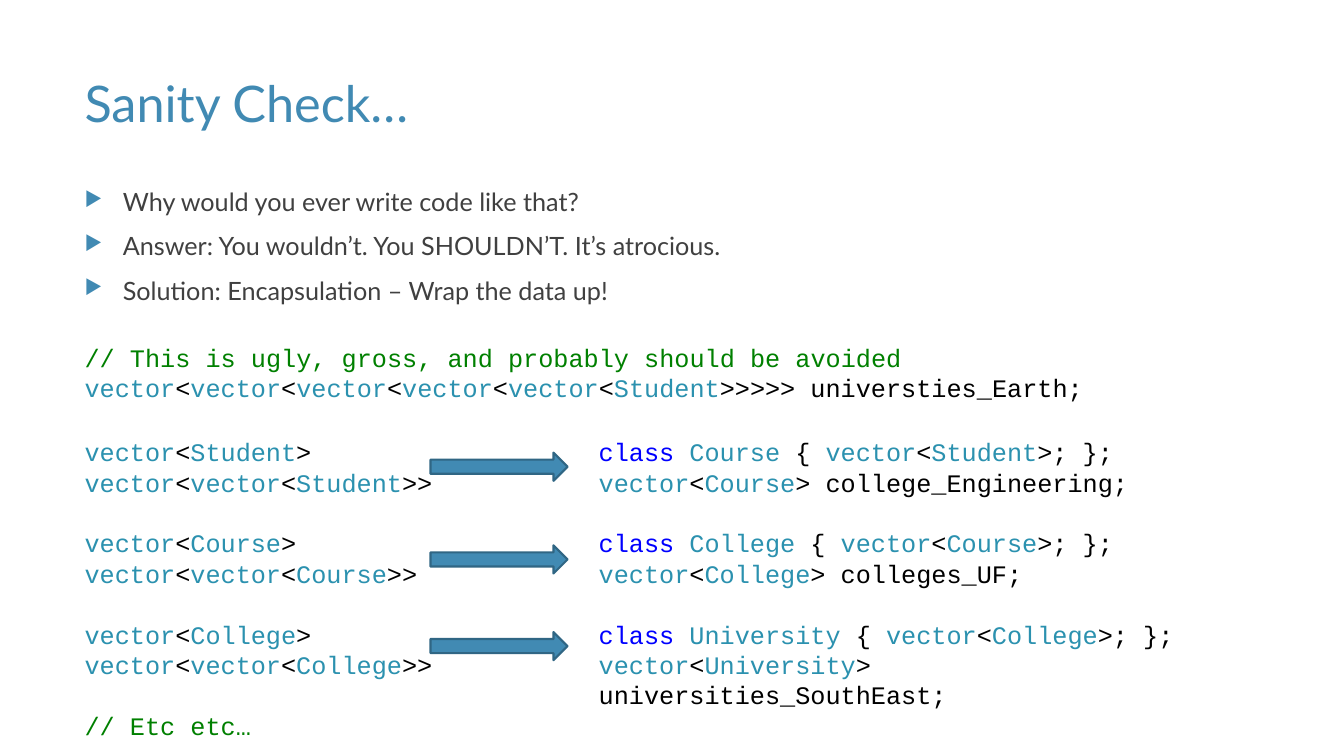
from itertools import groupby

from lxml import etree
from pptx import Presentation
from pptx.dml.color import RGBColor
from pptx.enum.shapes import MSO_SHAPE as Shape
from pptx.oxml.ns import qn
from pptx.util import Inches, Pt

ACCENT, ACCENT_DARK, BODY = "418AB3", "306684", "404040"
KEYWORD, TYPE, COMMENT, PLAIN = "0000FF", "2B91AF", "008000", "000000"
TYPES = {"vector", "Student", "Course", "College", "University"}
CODE_LINE = 21.7

BULLETS = [
    "Why would you ever write code like that?",
    "Answer: You wouldn’t. You SHOULDN’T. It’s atrocious.",
    "Solution: Encapsulation – Wrap the data up!",
]
UGLY_CODE = [[
    "// This is ugly, gross, and probably should be avoided",
    "vector<vector<vector<vector<vector<Student>>>>> universties_Earth;",
]]
WRAPPERS = [
    ("Student", "Course", "college_Engineering"),
    ("Course", "College", "colleges_UF"),
    ("College", "University", "universities_SouthEast"),
]
ARROW_TOPS = (4.49, 5.41, 6.27)


def color(value):
    return RGBColor.from_string(value)


def add_text_frame(slide, left, top, width, height):
    box = slide.shapes.add_textbox(
        Inches(left), Inches(top), Inches(width), Inches(height))
    box.text_frame.word_wrap = True
    return box.text_frame


def next_paragraph(frame, space_before=0):
    """Return the unused first paragraph, or a new one with space above it."""
    first = frame.paragraphs[0]
    if not first.runs:
        return first
    paragraph = frame.add_paragraph()
    paragraph.space_before = Pt(space_before)
    return paragraph


def add_run(paragraph, text, size=18, font="Lato", fill=BODY):
    run = paragraph.add_run()
    run.text = text
    run.font.size = Pt(size)
    run.font.name = font
    run.font.color.rgb = color(fill)


def add_bullet(paragraph):
    properties = paragraph._p.get_or_add_pPr()
    properties.set("marL", str(Inches(0.38)))
    properties.set("indent", str(Inches(-0.38)))
    bullet_color = etree.SubElement(properties, qn("a:buClr"))
    etree.SubElement(bullet_color, qn("a:srgbClr"), val=ACCENT)
    etree.SubElement(properties, qn("a:buSzPct"), val="80000")
    etree.SubElement(properties, qn("a:buChar"), char="▶")


def add_title(slide, left, top, width, height):
    frame = add_text_frame(slide, left, top, width, height)
    add_run(next_paragraph(frame), "Sanity Check…", size=36, fill=ACCENT)


def add_bullet_list(slide, left, top, width, height):
    frame = add_text_frame(slide, left, top, width, height)
    for text in BULLETS:
        paragraph = next_paragraph(frame, space_before=10)
        add_bullet(paragraph)
        add_run(paragraph, text)


def color_tokens(line):
    """Split a code line into words and symbols with their syntax colours."""
    if line.startswith("//"):
        return [(line, COMMENT)]
    tokens = []
    for _, letters in groupby(line, lambda letter: letter.isalnum() or letter == "_"):
        token = "".join(letters)
        fill = KEYWORD if token == "class" else TYPE if token in TYPES else PLAIN
        tokens.append((token, fill))
    return tokens


def add_code(slide, blocks, left, top, width, height):
    """Place blocks of code lines, one line height apart."""
    frame = add_text_frame(slide, left, top, width, height)
    for block in blocks:
        for index, line in enumerate(block):
            paragraph = next_paragraph(frame, 0 if index else CODE_LINE)
            paragraph.line_spacing = Pt(CODE_LINE)
            for token, fill in color_tokens(line):
                add_run(paragraph, token, font="Courier New", fill=fill)


def add_arrow(slide, left, top, width, height):
    arrow = slide.shapes.add_shape(
        Shape.RIGHT_ARROW, Inches(left), Inches(top), Inches(width), Inches(height))
    arrow.shadow.inherit = False
    arrow.fill.solid()
    arrow.fill.fore_color.rgb = color(ACCENT)
    arrow.line.color.rgb = color(ACCENT_DARK)
    arrow.line.width = Pt(1.5)


def add_comparison(slide, left, top):
    """Place nested vectors on the left, arrows, and wrapper classes on the right."""
    nested = [[f"vector<{item}>", f"vector<vector<{item}>>"]
              for item, _, _ in WRAPPERS]
    wrapped = [[f"class {owner} {{ vector<{item}>; }};", f"vector<{owner}> {name};"]
               for item, owner, name in WRAPPERS]
    add_code(slide, nested + [["// Etc etc…"]], left, top, 5.1, 3.13)
    add_code(slide, wrapped, left + 5.1, top, 6.23, 2.83)
    for arrow_top in ARROW_TOPS:
        add_arrow(slide, left + 3.53, arrow_top, 1.36, 0.28)


def main():
    presentation = Presentation()
    presentation.slide_width = Inches(13.33)
    presentation.slide_height = Inches(7.5)
    slide = presentation.slides.add_slide(presentation.slide_layouts[6])
    left = 0.74
    add_title(slide, left, 0.67, 9.4, 0.82)
    add_bullet_list(slide, left, 1.8, 9.4, 1.33)
    add_code(slide, UGLY_CODE, left, 3.34, 10.52, 0.71)
    add_comparison(slide, left, 4.28)
    presentation.save("out.pptx")


if __name__ == "__main__":
    main()
